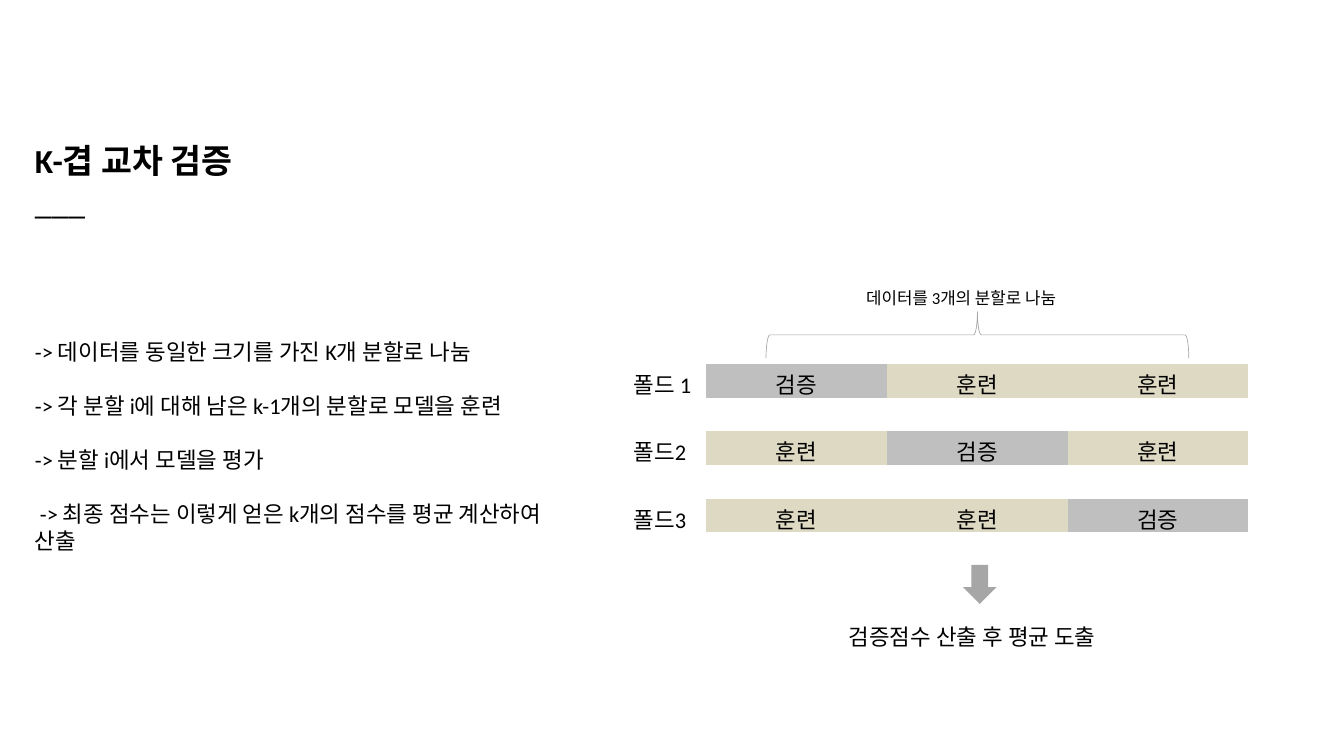
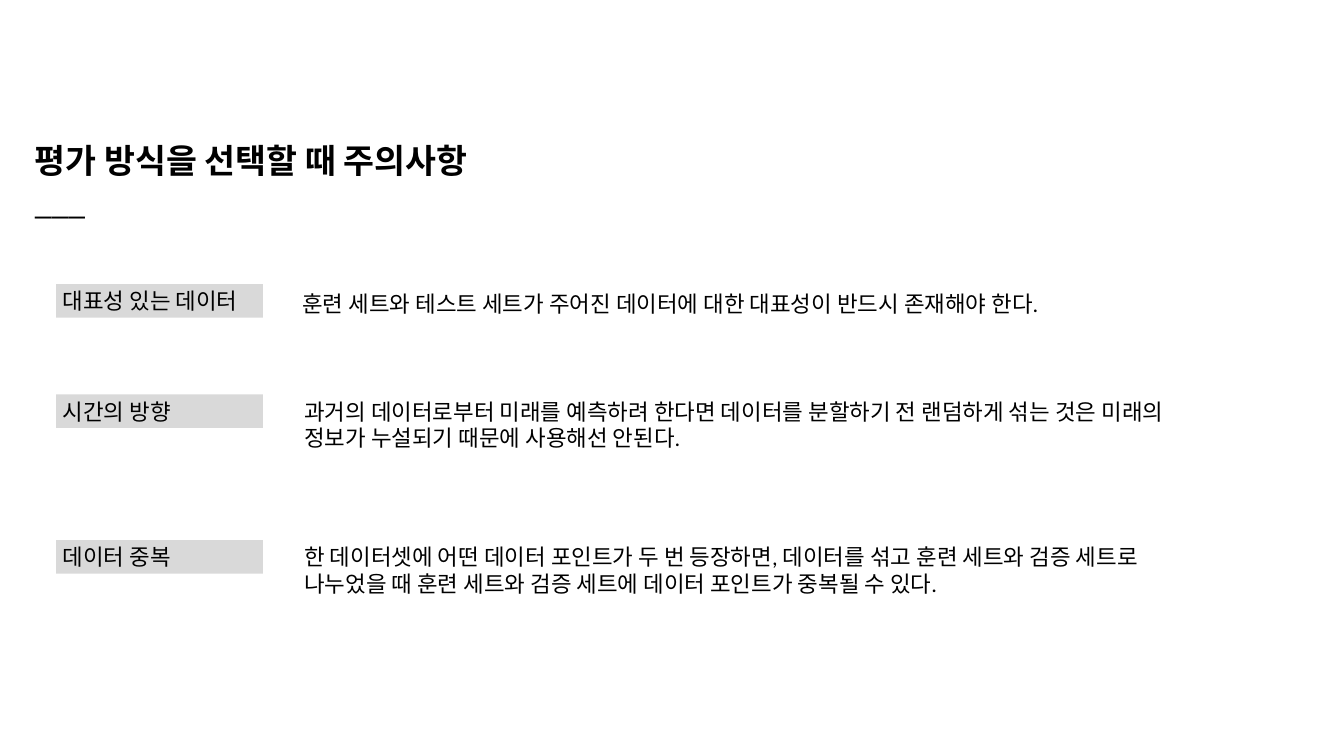
from pptx import Presentation
from pptx import util as u
from pptx.dml.color import RGBColor
from pptx.enum import shapes, text
from pptx.oxml.ns import qn

FONT = "Calibri"
BLACK, ARROW_GRAY, LABEL_GRAY = "000000", "A6A6A6", "D9D9D9"
FOLD_FILLS = {"검증": "BFBFBF", "훈련": "DDD9C3"}
PLAIN_TABLE_STYLE = "{2D5ABB26-0587-4C30-8999-92F81FD0307C}"
ROW_HEIGHT = 1.27


def write(frame, content, size=24, bold=False, align=text.PP_ALIGN.LEFT, before=0, indent=0):
    """Fill the empty first paragraph of the frame, or append a new one."""
    paragraph = frame.paragraphs[0] if not frame.text else frame.add_paragraph()
    if indent:
        paragraph._p.get_or_add_pPr().set("indent", str(u.Cm(indent)))
    run = paragraph.add_run()
    run.text = content
    run.font.name, run.font.size, run.font.bold = FONT, u.Pt(size), bold
    run.font.color.rgb = RGBColor.from_string(BLACK)
    paragraph.alignment = align
    paragraph.space_before = u.Pt(before)


def add_box(slide, left, top, width, height, fill=None, kind=shapes.MSO_SHAPE.RECTANGLE):
    """Add a text box, or a filled preset shape when a fill is given."""
    place = [u.Cm(value) for value in (left, top, width, height)]
    if fill:
        shape = slide.shapes.add_shape(kind, *place)
        shape.shadow.inherit = False
        shape.fill.solid()
        shape.fill.fore_color.rgb = RGBColor.from_string(fill)
        shape.line.fill.background()
    else:
        shape = slide.shapes.add_textbox(*place)
    shape.text_frame.word_wrap = True
    shape.text_frame.vertical_anchor = text.MSO_ANCHOR.TOP
    return shape


presentation = Presentation()
presentation.slide_width, presentation.slide_height = u.Cm(50.8), u.Cm(28.58)

slides = []
for title, title_width in (("K-겹 교차 검증", 14.6), ("평가 방식을 선택할 때 주의사항", 20.75)):
    slide = presentation.slides.add_slide(presentation.slide_layouts[6])
    frame = add_box(slide, 1.07, 5.18, title_width, 3.33).text_frame
    write(frame, title, size=36, bold=True)
    write(frame, "___", size=36)
    slides.append(slide)
fold_slide, caution_slide = slides

# Slide 1: steps of the method
steps = [
    "-> 데이터를 동일한 크기를 가진 K개 분할로 나눔",
    "-> 각 분할 i에 대해 남은 k-1개의 분할로 모델을 훈련",
    "-> 분할 i에서 모델을 평가",
    "-> 최종 점수는 이렇게 얻은 k개의 점수를 평균 계산하여 산출",
]
frame = add_box(fold_slide, 1.07, 12.67, 21.16, 8.46).text_frame
for number, step in enumerate(steps):
    last = number == len(steps) - 1
    write(frame, step, before=29 if number else 0, indent=0.19 if last else 0)

# Slide 1: folds, with an empty row between each pair
fold_count = 3
fold_rows = [["검증" if part == fold else "훈련" for part in range(fold_count)]
             for fold in range(fold_count)]
fold_names = [["폴드 1"], ["폴드2"], ["폴드3"]]
for rows, left, column_width, align in (
    (fold_rows, 26.67, 6.84, text.PP_ALIGN.CENTER),
    (fold_names, 23.7, 3.38, text.PP_ALIGN.LEFT),
):
    row_count, column_count = 2 * len(rows) - 1, len(rows[0])
    graphic = fold_slide.shapes.add_table(
        row_count, column_count, u.Cm(left), u.Cm(13.77),
        u.Cm(column_width * column_count), u.Cm(ROW_HEIGHT * row_count))
    graphic.element.find(".//" + qn("a:tableStyleId")).text = PLAIN_TABLE_STYLE
    table = graphic.table
    table.first_row = table.horz_banding = False
    for cell in table.iter_cells():
        cell.fill.background()
    for row_number, row in enumerate(rows):
        for column_number, word in enumerate(row):
            cell = table.cell(2 * row_number, column_number)
            write(cell.text_frame, word, align=align)
            if word in FOLD_FILLS:
                cell.fill.solid()
                cell.fill.fore_color.rgb = RGBColor.from_string(FOLD_FILLS[word])

# Slide 1: brace above the folds, arrow and result below
brace = fold_slide.shapes.add_shape(
    shapes.MSO_SHAPE.RIGHT_BRACE, u.Cm(36.07), u.Cm(4.67), u.Cm(1.75), u.Cm(15.98))
brace.rotation = 270
brace.shadow.inherit = False
brace.fill.background()
brace.line.color.rgb = RGBColor.from_string(ARROW_GRAY)
brace.line.width = u.Pt(0.75)
write(add_box(fold_slide, 32.49, 10.77, 8.89, 1.02).text_frame, "데이터를 3개의 분할로 나눔", size=18)
add_box(fold_slide, 36.4, 21.36, 1.27, 1.47, ARROW_GRAY, shapes.MSO_SHAPE.DOWN_ARROW)
write(add_box(fold_slide, 31.83, 23.44, 12.9, 1.27).text_frame, "검증점수 산출 후 평균 도출")

# Slide 2: label, its top, explanation, left and top of the explanation
cautions = [
    ("대표성 있는 데이터", 10.74,
     "훈련 세트와 테스트 세트가 주어진 데이터에 대한 대표성이 반드시 존재해야 한다.", 11.18, 10.85),
    ("시간의 방향", 14.91,
     "과거의 데이터로부터 미래를 예측하려 한다면 데이터를 분할하기 전 랜덤하게 섞는 것은 "
     "미래의 정보가 누설되기 때문에 사용해선 안된다.", 11.25, 14.91),
    ("데이터 중복", 20.42,
     "한 데이터셋에 어떤 데이터 포인트가 두 번 등장하면, 데이터를 섞고 훈련 세트와 검증 세트로 "
     "나누었을 때 훈련 세트와 검증 세트에 데이터 포인트가 중복될 수 있다.", 11.25, 20.42),
]
for label, label_top, explanation, left, top in cautions:
    write(add_box(caution_slide, 2.12, label_top, 7.82, ROW_HEIGHT, LABEL_GRAY).text_frame, label)
    write(add_box(caution_slide, left, top, 35.13, 2.31).text_frame, explanation)

presentation.save("out.pptx")
